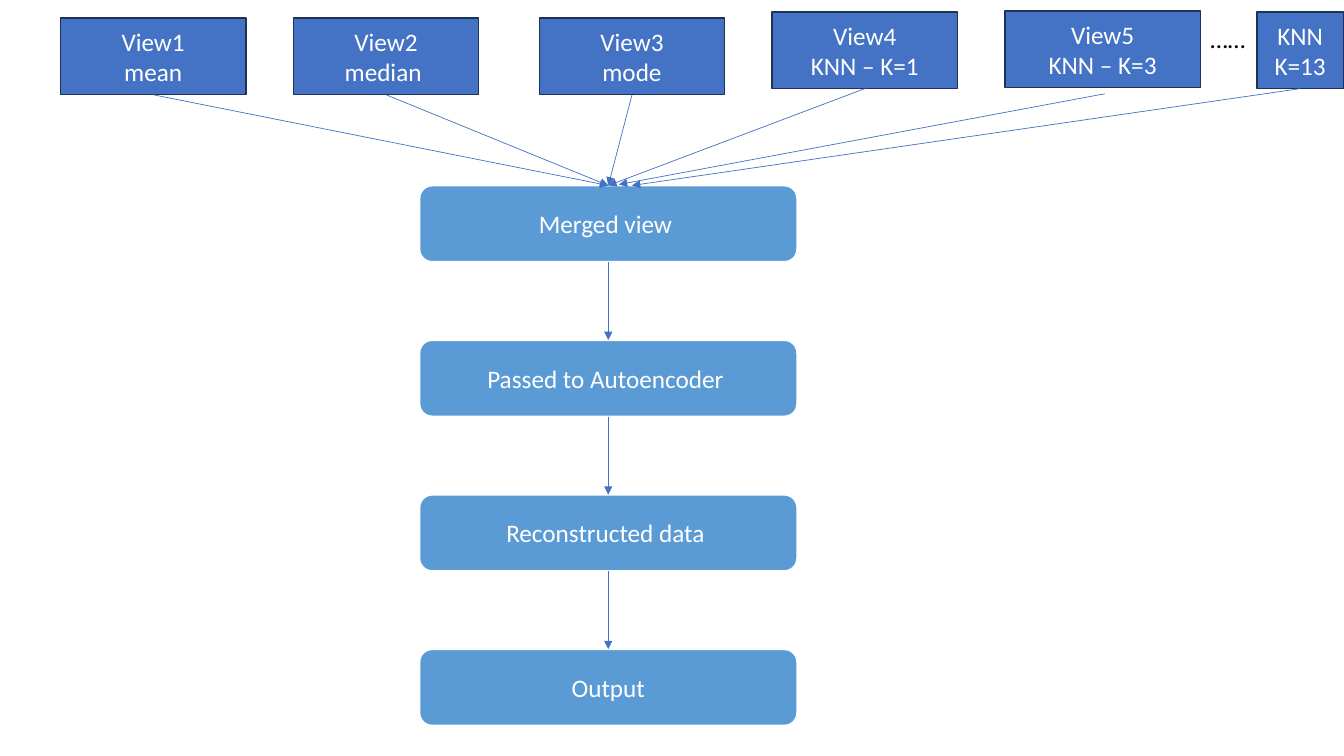
from dataclasses import dataclass
from itertools import pairwise

from lxml.etree import SubElement
from pptx import Presentation
from pptx.dml.color import RGBColor
from pptx.enum.shapes import MSO_CONNECTOR, MSO_SHAPE
from pptx.enum.text import MSO_ANCHOR, PP_ALIGN
from pptx.oxml.ns import qn
from pptx.shapes.autoshape import Shape
from pptx.shapes.connector import Connector
from pptx.slide import Slide
from pptx.text.text import TextFrame
from pptx.util import Pt

WHITE = RGBColor(0xFF, 0xFF, 0xFF)
BLACK = RGBColor(0, 0, 0)
VIEW_BLUE = RGBColor(0x44, 0x72, 0xC4)
VIEW_BORDER = RGBColor(0x1E, 0x32, 0x56)
STEP_BLUE = RGBColor(0x5B, 0x9B, 0xD5)

BOX_HEIGHT = 54.7
STEP_LEFT, STEP_TOP, STEP_WIDTH, STEP_PITCH = 299.5, 132.5, 270, 110.4
STEP_CENTER = STEP_LEFT + STEP_WIDTH / 2
TOP_SITE, BOTTOM_SITE = 0, 2


@dataclass(frozen=True)
class Box:
    text: str
    left: float
    top: float
    width: float = 132.5

    @property
    def bottom_center(self) -> tuple[float, float]:
        return self.left + self.width / 2, self.top + BOX_HEIGHT


@dataclass(frozen=True)
class BoxStyle:
    outline: MSO_SHAPE
    fill: RGBColor
    border: RGBColor
    border_width: float


VIEW_STYLE = BoxStyle(MSO_SHAPE.RECTANGLE, VIEW_BLUE, VIEW_BORDER, 1)
STEP_STYLE = BoxStyle(MSO_SHAPE.ROUNDED_RECTANGLE, STEP_BLUE, WHITE, 1.5)

GLUED_VIEWS = [
    Box("View1\nmean", 43.2, 13),
    Box("View2\nmedian ", 209.5, 13),
    Box("View3\nmode", 385.2, 13),
    Box("View4\nKNN – K=1", 551.5, 8.6),
]
VIEW5 = Box("View5\nKNN – K=3", 717.8, 7.9, 139.7)
LAST_VIEW = Box("KNN\nK=13", 897.8, 8.6, 61.9)

STEPS = [
    Box(text, STEP_LEFT, STEP_TOP + row * STEP_PITCH, STEP_WIDTH)
    for row, text in enumerate(
        ["Merged view ", "Passed to Autoencoder ", "Reconstructed data ", "Output"]
    )
]


def write_text(frame: TextFrame, text: str, color: RGBColor, align: PP_ALIGN) -> None:
    frame.text = text
    frame.word_wrap = True
    for paragraph in frame.paragraphs:
        paragraph.alignment = align
        paragraph.font.name = "Calibri"
        paragraph.font.size = Pt(18)
        paragraph.font.color.rgb = color


def add_box(slide: Slide, box: Box, style: BoxStyle) -> Shape:
    shape = slide.shapes.add_shape(
        style.outline, Pt(box.left), Pt(box.top), Pt(box.width), Pt(BOX_HEIGHT)
    )
    shape.shadow.inherit = False
    shape.fill.solid()
    shape.fill.fore_color.rgb = style.fill
    shape.line.color.rgb = style.border
    shape.line.width = Pt(style.border_width)
    shape.text_frame.vertical_anchor = MSO_ANCHOR.MIDDLE
    write_text(shape.text_frame, box.text, WHITE, PP_ALIGN.CENTER)
    return shape


def add_arrow(
    slide: Slide, start: tuple[float, float], end: tuple[float, float]
) -> Connector:
    arrow = slide.shapes.add_connector(
        MSO_CONNECTOR.STRAIGHT, *(Pt(length) for length in (*start, *end))
    )
    arrow.line.color.rgb = VIEW_BLUE
    arrow.line.width = Pt(0.5)
    SubElement(arrow.line._get_or_add_ln(), qn("a:tailEnd"), type="triangle")
    SubElement(arrow._element.spPr, qn("a:effectLst"))
    return arrow


def add_glued_arrow(
    slide: Slide, source: Box, source_shape: Shape, target: Box, target_shape: Shape
) -> None:
    """Join the bottom of the source to the top of the target."""
    target_top = (target.left + target.width / 2, target.top)
    arrow = add_arrow(slide, source.bottom_center, target_top)
    arrow.begin_connect(source_shape, BOTTOM_SITE)
    arrow.end_connect(target_shape, TOP_SITE)


def main() -> None:
    presentation = Presentation()
    presentation.slide_width, presentation.slide_height = Pt(960), Pt(540)
    slide = presentation.slides.add_slide(presentation.slide_layouts[6])

    steps = [(step, add_box(slide, step, STEP_STYLE)) for step in STEPS]
    for source, target in pairwise(steps):
        add_glued_arrow(slide, *source, *target)

    for view in GLUED_VIEWS:
        view_shape = add_box(slide, view, VIEW_STYLE)
        add_glued_arrow(slide, view, view_shape, *steps[0])

    add_box(slide, VIEW5, VIEW_STYLE)
    add_arrow(slide, (789.1, 67), (442.1, 131.8))

    last_shape = add_box(slide, LAST_VIEW, VIEW_STYLE)
    last_arrow = add_arrow(slide, LAST_VIEW.bottom_center, (451.4, STEP_TOP))
    last_arrow.begin_connect(last_shape, BOTTOM_SITE)

    ellipsis = slide.shapes.add_textbox(Pt(857.5), Pt(13), Pt(40.3), Pt(29))
    write_text(ellipsis.text_frame, "……", BLACK, PP_ALIGN.LEFT)

    presentation.save("out.pptx")


if __name__ == "__main__":
    main()
